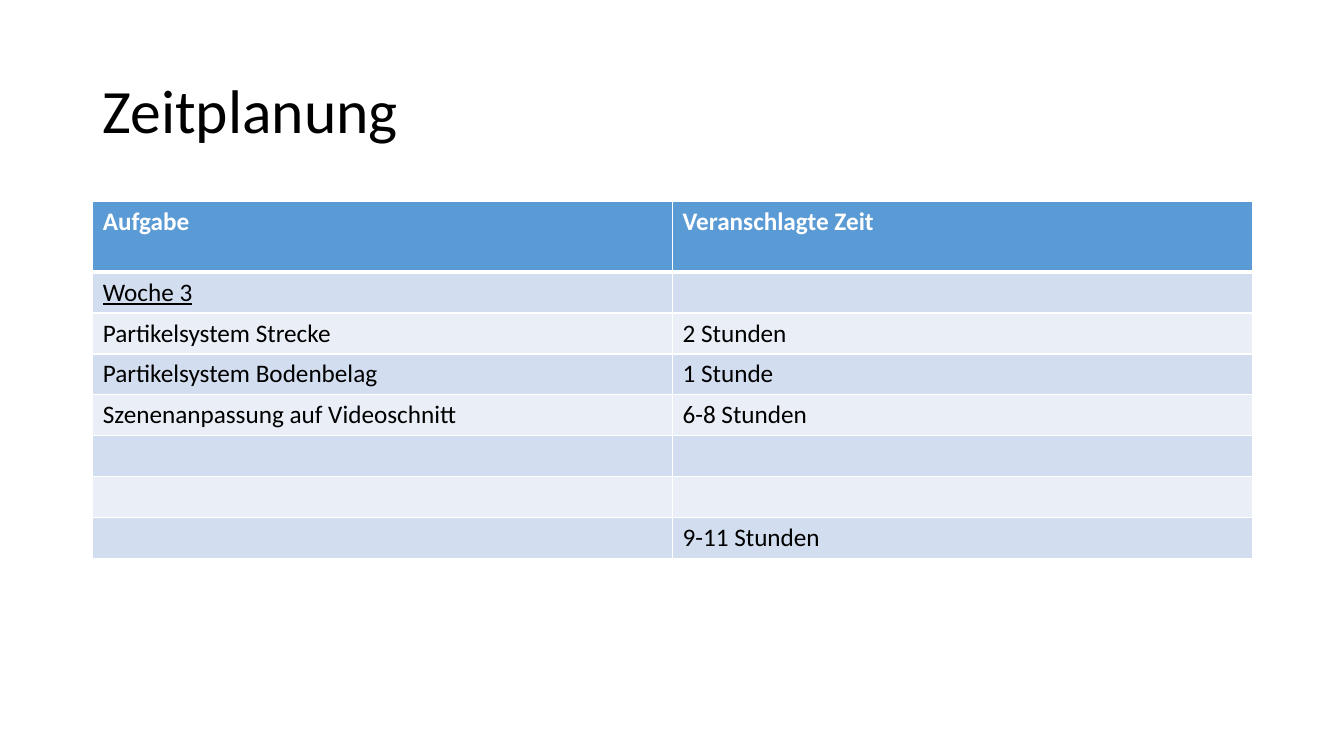
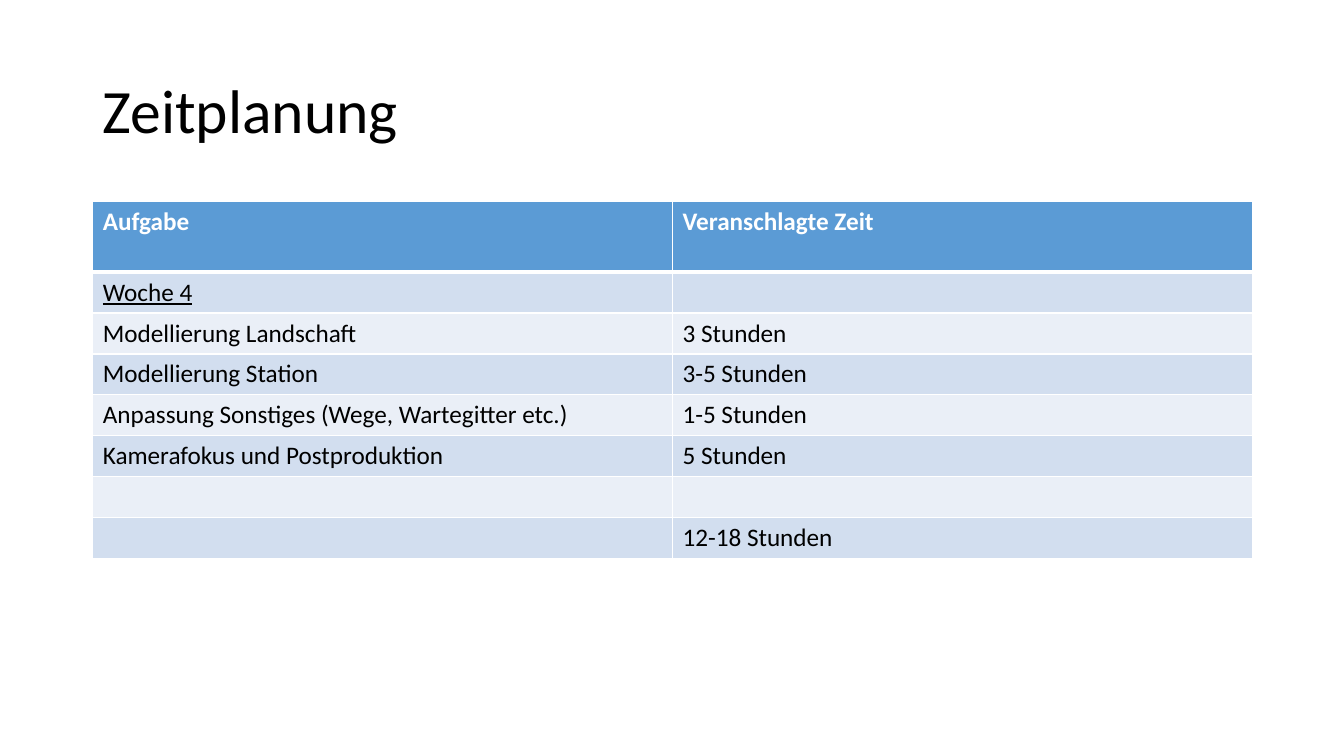
import pptx
import pptx.dml.color
import pptx.enum.text
import pptx.oxml
import pptx.oxml.ns
import pptx.util

Inches = pptx.util.Inches
Pt = pptx.util.Pt
RGBColor = pptx.dml.color.RGBColor

BLACK = RGBColor(0x00, 0x00, 0x00)
WHITE = RGBColor(0xFF, 0xFF, 0xFF)
HEADER_BLUE = RGBColor(0x5B, 0x9B, 0xD5)
BANDS = (RGBColor(0xD2, 0xDE, 0xEF), RGBColor(0xEA, 0xEF, 0xF7))

FONT = "Calibri"
TITLE_FORMAT = {"name": FONT, "size": Pt(44)}
HEADER_FORMAT = {"name": FONT, "size": Pt(18), "bold": True}
BODY_FORMAT = {"name": FONT, "size": Pt(18), "bold": False}
WEEK_FORMAT = {**BODY_FORMAT, "underline": True}

LEFT, WIDTH = Inches(0.92), Inches(11.5)
TABLE_TOP, TABLE_HEIGHT = Inches(2), Inches(3.54)
HEADER_HEIGHT = Inches(0.7)
THIN, THICK = Pt(1), Pt(3)

HEADER = ("Aufgabe", "Veranschlagte Zeit")
EMPTY = ("", "")
WEEKS = (
    (
        ("Woche 3", ""),
        ("Partikelsystem Strecke", "2 Stunden"),
        ("Partikelsystem Bodenbelag", "1 Stunde"),
        ("Szenenanpassung auf Videoschnitt", "6-8 Stunden"),
        EMPTY,
        EMPTY,
        ("", "9-11 Stunden"),
    ),
    (
        ("Woche 4", ""),
        ("Modellierung Landschaft", "3 Stunden"),
        ("Modellierung Station", "3-5 Stunden"),
        ("Anpassung Sonstiges (Wege, Wartegitter etc.)", "1-5 Stunden"),
        ("Kamerafokus und Postproduktion", "5 Stunden"),
        EMPTY,
        ("", "12-18 Stunden"),
    ),
)


def add_span(para, text, values, color):
    span = para.add_run()
    span.text = text
    for name, value in values.items():
        setattr(span.font, name, value)
    span.font.color.rgb = color


def add_title(page, text):
    box = page.shapes.add_textbox(LEFT, Inches(0.4), WIDTH, Inches(1.45))
    frame = box.text_frame
    frame.word_wrap = True
    frame.vertical_anchor = pptx.enum.text.MSO_ANCHOR.MIDDLE
    para = frame.paragraphs[0]
    para.line_spacing = 0.9
    add_span(para, text, TITLE_FORMAT, BLACK)


def set_borders(cell, top, bottom):
    """Draw white cell borders; the lines must come before the fill in the XML."""
    properties = cell._tc.get_or_add_tcPr()
    widths = {"lnL": THIN, "lnR": THIN, "lnT": top, "lnB": bottom}
    for index, (side, width) in enumerate(widths.items()):
        line = pptx.oxml.parse_xml(
            f'<a:{side} {pptx.oxml.ns.nsdecls("a")} w="{int(width)}">'
            f'<a:solidFill><a:srgbClr val="{WHITE}"/></a:solidFill></a:{side}>'
        )
        properties.insert(index, line)


def fill_row(table, index, texts, values, color, fill):
    for cell, text in zip(table.rows[index].cells, texts):
        cell.fill.solid()
        cell.fill.fore_color.rgb = fill
        set_borders(
            cell,
            top=THICK if index == 1 else THIN,
            bottom=THICK if index == 0 else THIN,
        )
        if text:
            add_span(cell.text_frame.paragraphs[0], text, values, color)


def add_schedule(page, tasks):
    table = page.shapes.add_table(
        len(tasks) + 1, len(HEADER), LEFT, TABLE_TOP, WIDTH, TABLE_HEIGHT
    ).table
    table.horz_banding = False
    for row in table.rows:
        row.height = (TABLE_HEIGHT - HEADER_HEIGHT) // len(tasks)
    table.rows[0].height = HEADER_HEIGHT

    fill_row(table, 0, HEADER, HEADER_FORMAT, WHITE, HEADER_BLUE)
    for index, texts in enumerate(tasks):
        values = WEEK_FORMAT if index == 0 else BODY_FORMAT
        fill_row(table, index + 1, texts, values, BLACK, BANDS[index % 2])


def main():
    deck = pptx.Presentation()
    deck.slide_width, deck.slide_height = Inches(13.33), Inches(7.5)
    for tasks in WEEKS:
        page = deck.slides.add_slide(deck.slide_layouts[6])
        add_title(page, "Zeitplanung")
        add_schedule(page, tasks)
    deck.save("out.pptx")


if __name__ == "__main__":
    main()
